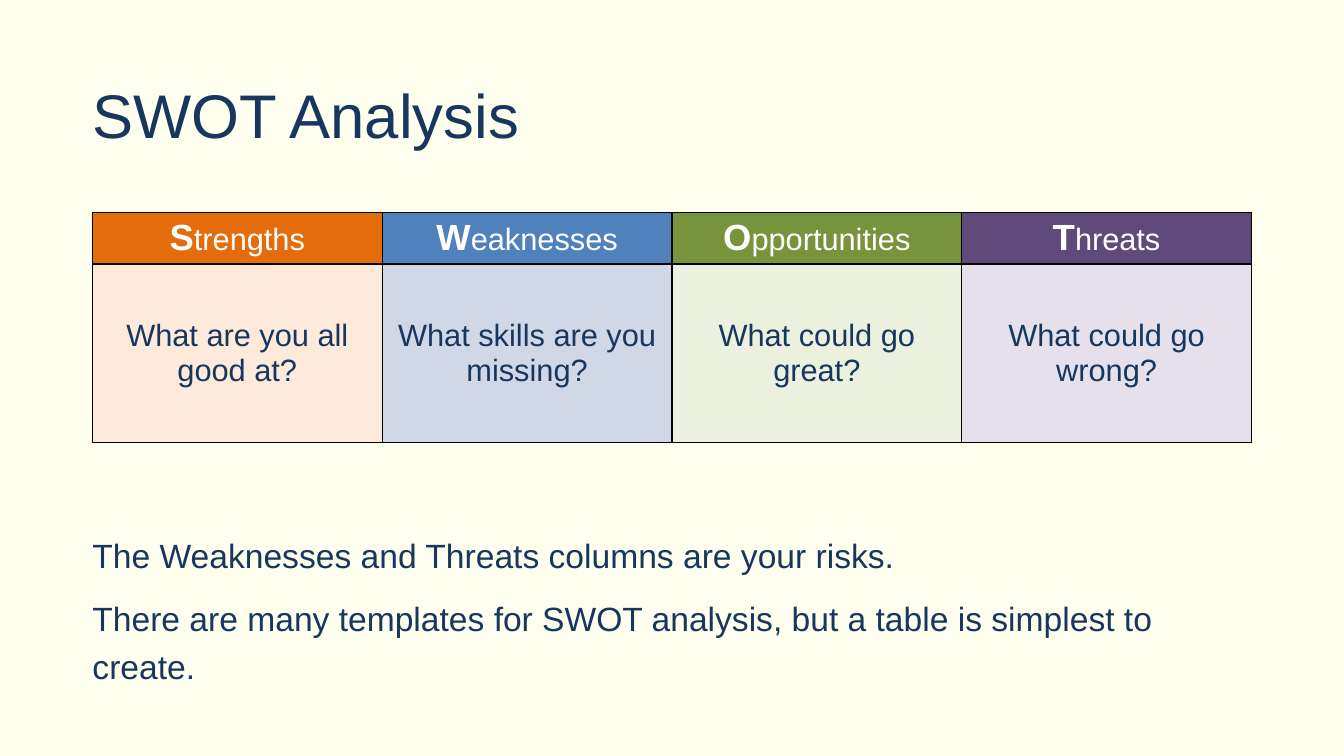
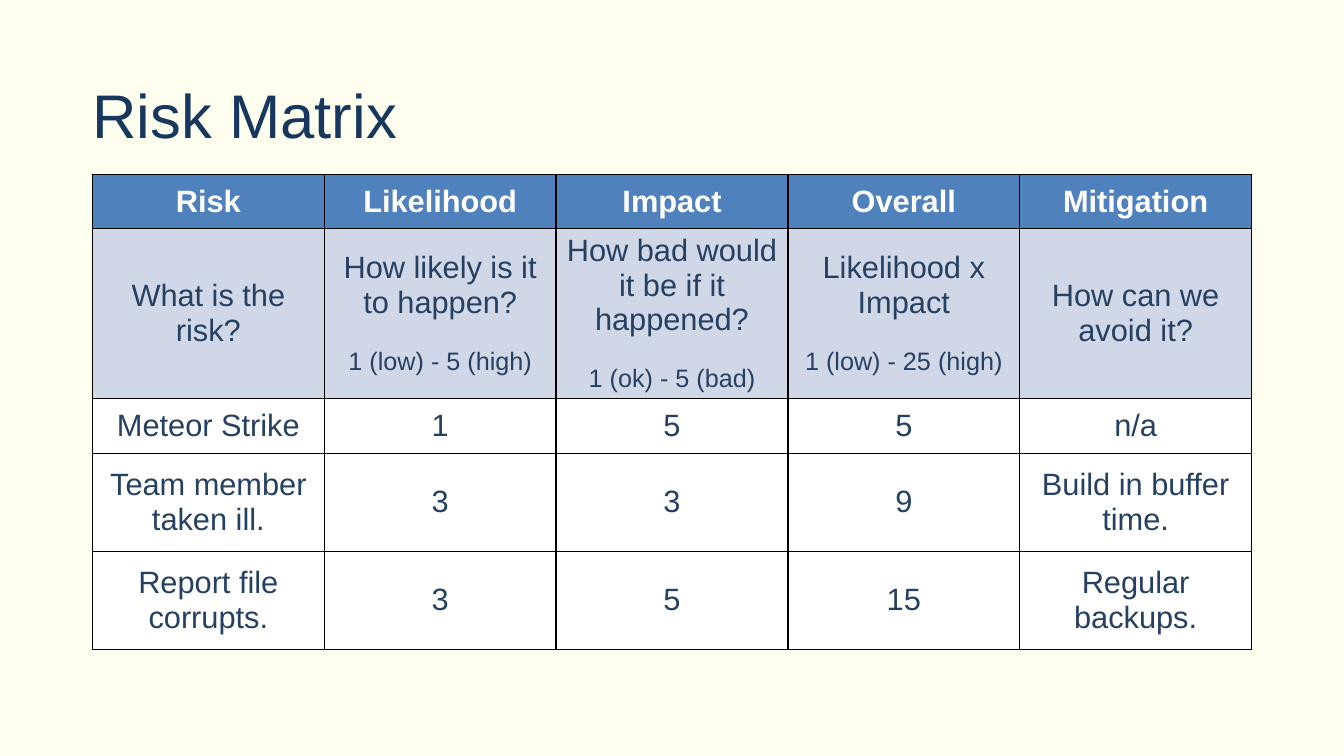
from dataclasses import dataclass

from lxml import etree
from pptx import Presentation
from pptx import util as u
from pptx.dml.color import RGBColor
from pptx.enum import text
from pptx.oxml import ns

# Shared look
FONT = "Arial"
CREAM, WHITE, BLACK = "FFFFEF", "FFFFFF", "000000"
NAVY, DEEP_BLUE = "17375E", "254061"
BLUE, PALE_BLUE = "4F81BD", "D0D8E8"
LEFT, CONTENT_WIDTH = u.Cm(2.33), u.Cm(29.21)
CELL_SIZE, INITIAL_SIZE, SCALE_SIZE = 22, 26, 18


@dataclass
class Entry:
    """One table cell; a scale is a smaller line below the wording."""
    wording: str
    fill: str = WHITE
    colour: str = DEEP_BLUE
    bold: bool = False
    big_initial: bool = False
    scale: str = ""


@dataclass
class Factor:
    """One column of the SWOT table."""
    heading: str
    question: str
    strong: str
    pale: str


FACTORS = [
    Factor("Strengths", "What are you all good at?", "E46C0A", "FDEADA"),
    Factor("Weaknesses", "What skills are you missing?", BLUE, PALE_BLUE),
    Factor("Opportunities", "What could go great?", "77933C", "EBF1DE"),
    Factor("Threats", "What could go wrong?", "604A7B", "E6E0EC"),
]
SWOT_NOTES = [
    "The Weaknesses and Threats columns are your risks.",
    "There are many templates for SWOT analysis, but a table is simplest to create.",
]

RISK_HEADINGS = ["Risk", "Likelihood", "Impact", "Overall", "Mitigation"]
RISK_QUESTIONS = [
    ("What is the risk?", ""),
    ("How likely is it to happen?", "1 (low) - 5 (high)"),
    ("How bad would it be if it happened?", "1 (ok) - 5 (bad)"),
    ("Likelihood x Impact", "1 (low) - 25 (high)"),
    ("How can we avoid it?", ""),
]
# Risk, likelihood, impact, mitigation
RISKS = [
    ("Meteor Strike", 1, 5, "n/a"),
    ("Team member taken ill.", 3, 3, "Build in buffer time."),
    ("Report file corrupts.", 3, 5, "Regular backups."),
]


def rgb(colour: str) -> RGBColor:
    return RGBColor.from_string(colour)


def style_run(run, size: float, colour: str, bold: bool = False) -> None:
    run.font.name = FONT
    run.font.size = u.Pt(size)
    run.font.bold = bold
    run.font.color.rgb = rgb(colour)


def place(holder, top: float, width: int, height: float, anchor) -> None:
    """Move a placeholder to the content edge and clear its insets."""
    holder.left, holder.top = LEFT, u.Cm(top)
    holder.width, holder.height = width, u.Cm(height)
    frame = holder.text_frame
    frame.margin_left = frame.margin_right = frame.margin_top = frame.margin_bottom = 0
    frame.word_wrap = True
    frame.auto_size = text.MSO_AUTO_SIZE.NONE
    frame.vertical_anchor = anchor


def add_titled_slide(deck, layout_name: str, heading: str):
    slide = deck.slides.add_slide(deck.slide_layouts.get_by_name(layout_name))
    title = slide.shapes.title
    place(title, 1.02, CONTENT_WIDTH, 3.68, text.MSO_ANCHOR.MIDDLE)
    title.text_frame.text = heading
    paragraph = title.text_frame.paragraphs[0]
    paragraph.alignment = text.PP_ALIGN.LEFT
    style_run(paragraph.runs[0], 44, NAVY)
    return slide


def fill_body(body, notes: list[str]) -> None:
    """Write plain paragraphs, without bullets, in the body placeholder."""
    place(body, 13.28, u.Cm(29.51), 3.68, text.MSO_ANCHOR.TOP)
    body.text_frame.text = "\n".join(notes)
    for paragraph in body.text_frame.paragraphs:
        paragraph.line_spacing = 1.2
        paragraph.space_before = u.Pt(10)
        properties = paragraph._p.get_or_add_pPr()
        properties.set("marL", "0")
        properties.set("indent", "0")
        etree.SubElement(properties, ns.qn("a:buNone"))
        style_run(paragraph.runs[0], 24, NAVY)


def add_borders(cell) -> None:
    properties = cell._tc.get_or_add_tcPr()
    for side in ("lnL", "lnR", "lnT", "lnB"):
        line = etree.SubElement(properties, ns.qn(f"a:{side}"), w=str(u.Pt(1)))
        paint = etree.SubElement(line, ns.qn("a:solidFill"))
        etree.SubElement(paint, ns.qn("a:srgbClr"), val=BLACK)


def fill_cell(cell, entry: Entry) -> None:
    add_borders(cell)
    cell.fill.solid()
    cell.fill.fore_color.rgb = rgb(entry.fill)
    cell.vertical_anchor = text.MSO_ANCHOR.MIDDLE
    wording = cell.text_frame.paragraphs[0]
    wording.alignment = text.PP_ALIGN.CENTER
    if entry.big_initial:
        wording.text = entry.wording[0]
        style_run(wording.runs[0], INITIAL_SIZE, entry.colour, bold=True)
        rest = wording.add_run()
        rest.text = entry.wording[1:]
        style_run(rest, CELL_SIZE, entry.colour)
    else:
        wording.text = entry.wording
        style_run(wording.runs[0], CELL_SIZE, entry.colour, entry.bold)
    if entry.scale:
        scale = cell.text_frame.add_paragraph()
        scale.text = entry.scale
        scale.alignment = text.PP_ALIGN.CENTER
        scale.space_before = u.Pt(20)
        style_run(scale.runs[0], SCALE_SIZE, entry.colour)


def add_grid(slide, top: float, row_heights: list[float],
             rows: list[list[Entry]]) -> None:
    """Draw a bordered table with equal columns across the content width."""
    columns = len(rows[0])
    grid = slide.shapes.add_table(len(rows), columns, LEFT, u.Cm(top),
                                  CONTENT_WIDTH, u.Cm(sum(row_heights))).table
    grid.first_row = grid.horz_banding = False
    for column in grid.columns:
        column.width = CONTENT_WIDTH // columns
    for row, height, entries in zip(grid.rows, row_heights, rows):
        row.height = u.Cm(height)
        for cell, entry in zip(row.cells, entries):
            fill_cell(cell, entry)


def build_swot(deck) -> None:
    slide = add_titled_slide(deck, "Title and Content", "SWOT Analysis")
    headings = [Entry(f.heading, f.strong, WHITE, big_initial=True) for f in FACTORS]
    questions = [Entry(f.question, f.pale, NAVY) for f in FACTORS]
    add_grid(slide, 5.35, [1.3, 4.5], [headings, questions])
    fill_body(slide.placeholders[1], SWOT_NOTES)


def build_risk_matrix(deck) -> None:
    slide = add_titled_slide(deck, "Title Only", "Risk Matrix")
    headings = [Entry(heading, BLUE, WHITE, bold=True) for heading in RISK_HEADINGS]
    questions = [Entry(question, PALE_BLUE, scale=scale)
                 for question, scale in RISK_QUESTIONS]
    risks = [
        [Entry(str(value)) for value in
         (risk, likelihood, impact, likelihood * impact, mitigation)]
        for risk, likelihood, impact, mitigation in RISKS
    ]
    add_grid(slide, 4.39, [1.37, 4.28, 1.38, 2.47, 2.47],
             [headings, questions, *risks])


def main() -> None:
    deck = Presentation()
    deck.slide_width, deck.slide_height = u.Cm(33.87), u.Cm(19.05)
    # The background is set once, on the master
    background = deck.slide_master.background.fill
    background.solid()
    background.fore_color.rgb = rgb(CREAM)
    build_swot(deck)
    build_risk_matrix(deck)
    deck.save("out.pptx")


if __name__ == "__main__":
    main()
